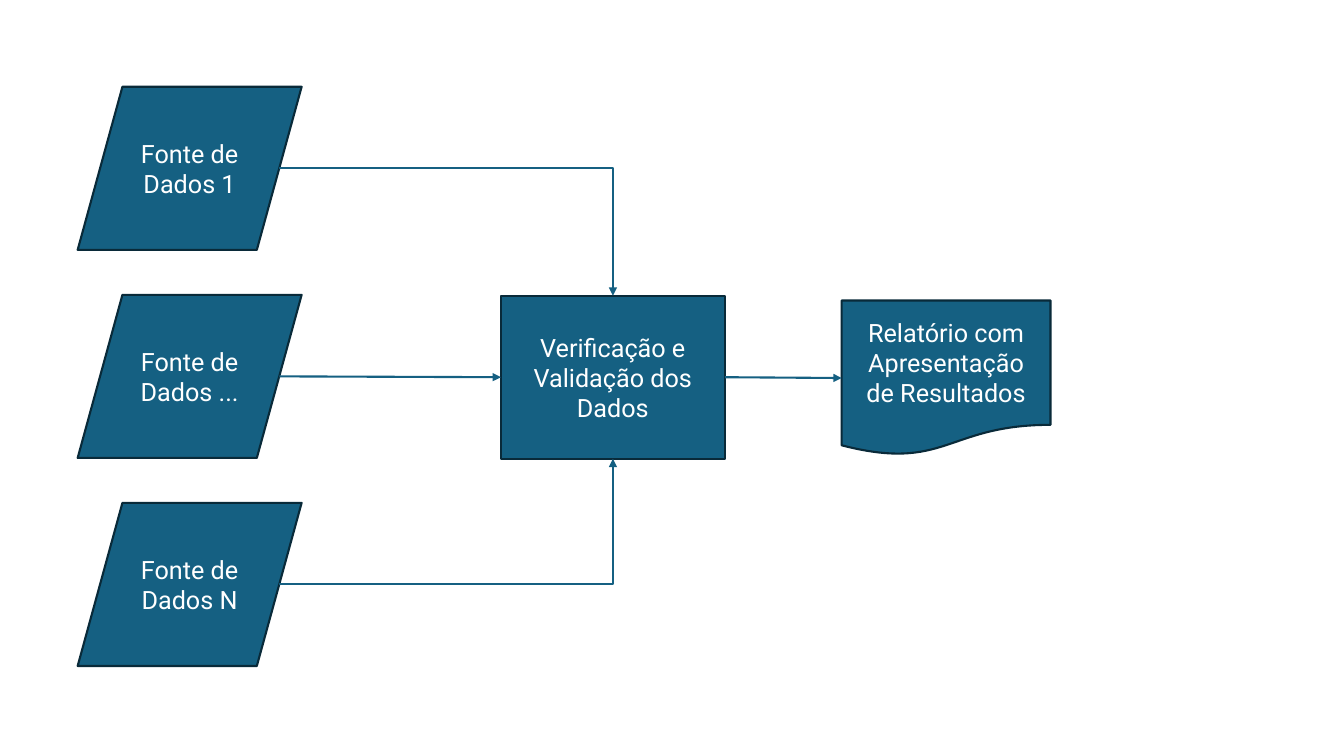
"""Draw a data flow from several sources through validation to a report."""
import dataclasses

import lxml.etree
import pptx
import pptx.dml.color
import pptx.enum.shapes
import pptx.enum.text
import pptx.oxml.ns
import pptx.slide
import pptx.util

ShapeKind = pptx.enum.shapes.MSO_SHAPE


@dataclasses.dataclass(frozen=True)
class Theme:
    fill: str = "156082"
    outline: str = "092A39"
    text: str = "FFFFFF"
    font: str = "Roboto"
    text_size: float = 18
    line_width: float = 1.5


@dataclasses.dataclass(frozen=True)
class Node:
    text: str
    kind: ShapeKind
    left: float
    top: float
    width: float
    height: float

    @property
    def center_x(self) -> float:
        return self.left + self.width / 2

    @property
    def center_y(self) -> float:
        return self.top + self.height / 2

    @property
    def right(self) -> float:
        return self.left + self.width

    @property
    def bottom(self) -> float:
        return self.top + self.height


@dataclasses.dataclass(frozen=True)
class Arrow:
    start: tuple[float, float]
    end: tuple[float, float]
    bent: bool = False


THEME = Theme()
BOX_WIDTH, BOX_HEIGHT = 160, 116.5
SOURCE_LEFT, SOURCE_TOP, SOURCE_PITCH = 55.5, 62, 148.6
SLANT_INSET = BOX_WIDTH / 10

SOURCES = [
    Node(f"Fonte de Dados {label}", ShapeKind.FLOWCHART_DATA, SOURCE_LEFT,
         SOURCE_TOP + index * SOURCE_PITCH, BOX_WIDTH, BOX_HEIGHT)
    for index, label in enumerate(("1", "...", "N"))
]
VALIDATION = Node("Verificação e Validação dos Dados", ShapeKind.FLOWCHART_PROCESS,
                  357.8, 211.2, BOX_WIDTH, BOX_HEIGHT)
REPORT = Node("Relatório com Apresentação de Resultados", ShapeKind.FLOWCHART_DOCUMENT,
              601.2, 214.6, 149.2, 110.8)

FIRST_EXIT, MIDDLE_EXIT, LAST_EXIT = [
    (source.right - SLANT_INSET, source.center_y) for source in SOURCES
]
ARROWS = [
    Arrow(FIRST_EXIT, (VALIDATION.center_x, VALIDATION.top), bent=True),
    Arrow(LAST_EXIT, (VALIDATION.center_x, VALIDATION.bottom), bent=True),
    Arrow((VALIDATION.right, VALIDATION.center_y), (REPORT.left, REPORT.center_y)),
    Arrow(MIDDLE_EXIT, (VALIDATION.left, VALIDATION.center_y)),
]


def color(value: str) -> pptx.dml.color.RGBColor:
    return pptx.dml.color.RGBColor.from_string(value)


def draw_node(slide: pptx.slide.Slide, node: Node) -> None:
    bounds = map(pptx.util.Pt, (node.left, node.top, node.width, node.height))
    shape = slide.shapes.add_shape(node.kind, *bounds)
    shape.shadow.inherit = False
    shape.fill.solid()
    shape.fill.fore_color.rgb = color(THEME.fill)
    shape.line.color.rgb = color(THEME.outline)
    shape.line.width = pptx.util.Pt(THEME.line_width)
    shape.text_frame.text = node.text
    shape.text_frame.word_wrap = True
    shape.text_frame.vertical_anchor = pptx.enum.text.MSO_ANCHOR.MIDDLE
    paragraph = shape.text_frame.paragraphs[0]
    paragraph.alignment = pptx.enum.text.PP_ALIGN.CENTER
    paragraph.font.name = THEME.font
    paragraph.font.size = pptx.util.Pt(THEME.text_size)
    paragraph.font.color.rgb = color(THEME.text)


def draw_arrow(slide: pptx.slide.Slide, arrow: Arrow) -> None:
    kinds = pptx.enum.shapes.MSO_CONNECTOR
    connector = slide.shapes.add_connector(
        kinds.ELBOW if arrow.bent else kinds.STRAIGHT,
        *map(pptx.util.Pt, arrow.start + arrow.end))
    connector.line.color.rgb = color(THEME.fill)
    connector.line.width = pptx.util.Pt(THEME.line_width)
    qualified_name = pptx.oxml.ns.qn
    properties = connector._element.spPr
    if arrow.bent:
        properties.find(qualified_name("a:prstGeom")).set("prst", "bentConnector2")
    outline = properties.find(qualified_name("a:ln"))
    lxml.etree.SubElement(outline, qualified_name("a:tailEnd"), type="triangle")
    lxml.etree.SubElement(properties, qualified_name("a:effectLst"))


def main() -> None:
    presentation = pptx.Presentation()
    presentation.slide_width = pptx.util.Pt(960)
    presentation.slide_height = pptx.util.Pt(540)
    slide = presentation.slides.add_slide(presentation.slide_layouts.get_by_name("Blank"))
    for node in (*SOURCES, VALIDATION, REPORT):
        draw_node(slide, node)
    for arrow in ARROWS:
        draw_arrow(slide, arrow)
    presentation.save("out.pptx")


if __name__ == "__main__":
    main()
